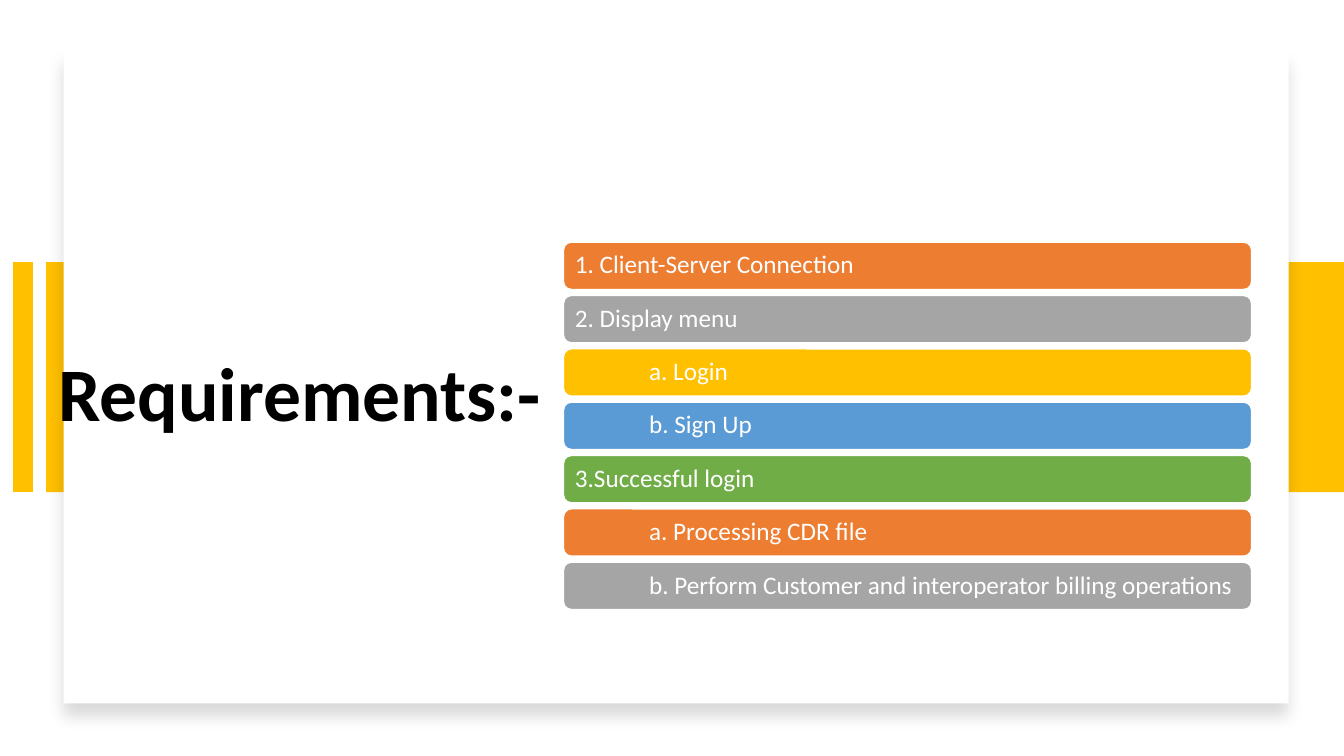
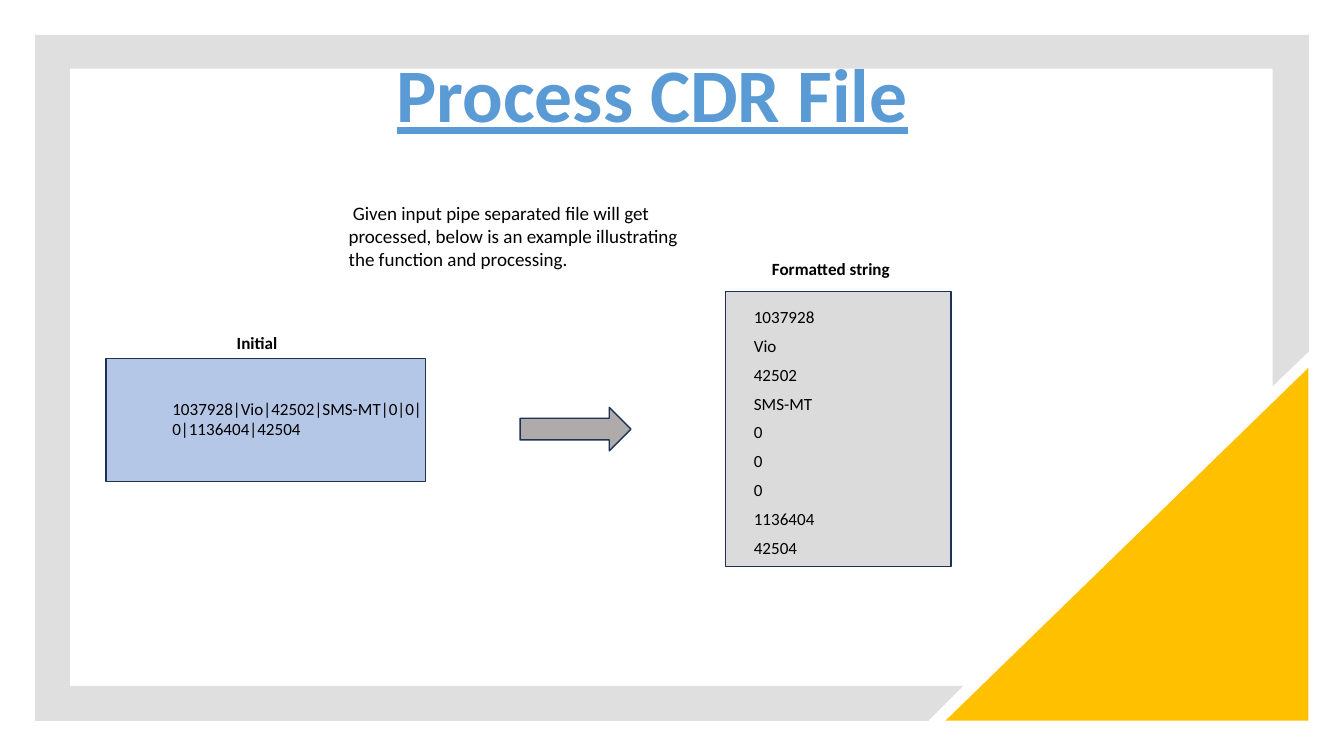
"""Build two slides: a list of requirements and the CDR file process."""
from lxml.etree import SubElement
from pptx import Presentation
from pptx.dml.color import RGBColor
from pptx.enum.shapes import MSO_CONNECTOR, MSO_SHAPE
from pptx.enum.text import MSO_ANCHOR, PP_ALIGN
from pptx.oxml.ns import qn
from pptx.util import Pt

BLACK, WHITE, GOLD, BLUE = "000000", "FFFFFF", "FFC000", "5B9BD5"
ORANGE, GRAY, GREEN, NAVY = "ED7D31", "A5A5A5", "70AD47", "1E3256"
BASE = {"name": "Calibri", "bold": False}
TITLE = {**BASE, "size": Pt(54), "bold": True}
ITEM = {**BASE, "size": Pt(18)}
NOTE = {**BASE, "size": Pt(13.6)}
BODY = {**BASE, "size": Pt(12.2)}
LABEL = {**BODY, "bold": True}


def draw(slide, kind, box, fill, edge=None):
    shape = slide.shapes.add_shape(kind, *map(Pt, box))
    shape.shadow.inherit = False
    shape.fill.solid()
    shape.fill.fore_color.rgb = RGBColor.from_string(fill)
    if edge:
        shape.line.color.rgb = RGBColor.from_string(edge)
        shape.line.width = Pt(1)
    else:
        shape.line.fill.background()
    return shape


def write(shape, lines, look, color=BLACK, align=PP_ALIGN.LEFT, **form):
    frame = shape.text_frame
    for key, value in {"word_wrap": True, **form}.items():
        setattr(frame, key, value)
    for i, line in enumerate(lines):
        para = frame.add_paragraph() if i else frame.paragraphs[0]
        para.alignment = align
        para.space_after = Pt(6 if len(lines) > 1 else 0)
        run = para.add_run()
        run.text = line
        for key, value in look.items():
            setattr(run.font, key, value)
        run.font.color.rgb = RGBColor.from_string(color)
    return frame


deck = Presentation()
deck.slide_width, deck.slide_height = Pt(960), Pt(540)
first, second = [deck.slides.add_slide(deck.slide_layouts[6]) for _ in range(2)]

draw(first, MSO_SHAPE.RECTANGLE, (33, 187.2, 927, 164.4), GOLD)
strip = first.shapes.add_connector(
    MSO_CONNECTOR.STRAIGHT, Pt(16.5), Pt(187.2), Pt(16.5), Pt(351.6))
strip.line.color.rgb = RGBColor.from_string(GOLD)
strip.line.width = Pt(14)
SubElement(strip._element.spPr, qn("a:effectLst"))

card = draw(first, MSO_SHAPE.RECTANGLE, (45.5, 36.7, 875, 465.8), WHITE)
shade = SubElement(
    card._element.spPr.find(qn("a:effectLst")), qn("a:outerShdw"),
    blurRad=str(Pt(11)), dist=str(Pt(10)), dir="5400000", algn="t", rotWithShape="0")
tint = SubElement(shade, qn("a:srgbClr"), val=BLACK)
SubElement(tint, qn("a:alpha"), val="15000")

head = first.shapes.add_textbox(*map(Pt, (-54.7, 63.4, 448.5, 440)))
frame = write(head, ["Requirements:-"], TITLE, align=PP_ALIGN.RIGHT,
              vertical_anchor=MSO_ANCHOR.MIDDLE)
frame.paragraphs[0].line_spacing = 0.9

steps = [
    ("1. Client-Server Connection", 0, ORANGE),
    ("2. Display menu", 0, GRAY),
    ("a. Login", 1, GOLD),
    ("b. Sign Up", 1, BLUE),
    ("3.Successful login", 0, GREEN),
    ("a. Processing CDR file", 1, ORANGE),
    ("b. Perform Customer and interoperator billing operations", 1, GRAY),
]
for i, (text, level, fill) in enumerate(steps):
    bar = draw(first, MSO_SHAPE.ROUNDED_RECTANGLE,
               (402.5, 173 + 38.1 * i, 491.5, 33.8), fill, WHITE)
    frame = write(bar, [text], ITEM, WHITE, vertical_anchor=MSO_ANCHOR.MIDDLE,
                  margin_left=Pt(6.5 + 53 * level), margin_right=Pt(5),
                  margin_top=Pt(5), margin_bottom=Pt(5))
    frame.paragraphs[0].line_spacing = 0.9

rim = [
    (25.2, 25.2), (934.6, 25.2), (934.6, 251.3), (909.4, 275.8), (909.4, 49),
    (50.4, 49), (50.4, 490.3), (688.3, 490.3), (663.1, 514.8), (25.2, 514.8),
]
pen = second.shapes.build_freeform(*rim[0], scale=Pt(1))
pen.add_line_segments(rim[1:], close=True)
border = pen.convert_to_shape()
border.shadow.inherit = False
border.line.fill.background()
border.fill.solid()
border.fill.fore_color.rgb = RGBColor.from_string("808080")
tint = border._element.spPr.find(qn("a:solidFill"))[0]
SubElement(tint, qn("a:alpha"), val="25000")

corner = draw(second, MSO_SHAPE.RIGHT_TRIANGLE, (675.4, 262.8, 259.2, 252), GOLD)
corner._element.spPr.find(qn("a:xfrm")).set("flipH", "1")

for kind, box, fill in [
    (MSO_SHAPE.FLOWCHART_PROCESS, (75.6, 256.2, 228.4, 87.8), "B4C7E7"),
    (MSO_SHAPE.FLOWCHART_PROCESS, (518.4, 208.2, 160.8, 196.4), "DBDBDB"),
    (MSO_SHAPE.RIGHT_ARROW, (371.5, 291, 79.2, 31), "AFABAB"),
]:
    draw(second, kind, box, fill, NAVY)

record = "1037928|Vio|42502|SMS-MT|0|0|0|1136404|42504"
intro = ("Given input pipe separated file will get processed, "
         "below is an example illustrating the function and processing.")
for box, lines, look in [
    ((242, 140.4, 257.8, 56.9), [intro], NOTE),
    ((116, 280.8, 195, 36.7), [record], BODY),
    ((531.4, 215.3, 136, 189.4), record.split("|"), BODY),
    ((162, 234, 97.2, 22.3), ["Initial"], LABEL),
    ((544.3, 181.4, 141.8, 22.3), ["Formatted string"], LABEL),
]:
    note = second.shapes.add_textbox(*map(Pt, box))
    frame = write(note, lines, look)
    if look is NOTE:
        frame.paragraphs[0]._p.get_or_add_pPr().set("indent", str(Pt(3)))

head = second.shapes.add_textbox(*map(Pt, (274.3, 30.2, 383, 72.7)))
write(head, ["Process CDR File"], {**TITLE, "underline": True}, BLUE,
      PP_ALIGN.CENTER, word_wrap=False)

deck.save("out.pptx")
